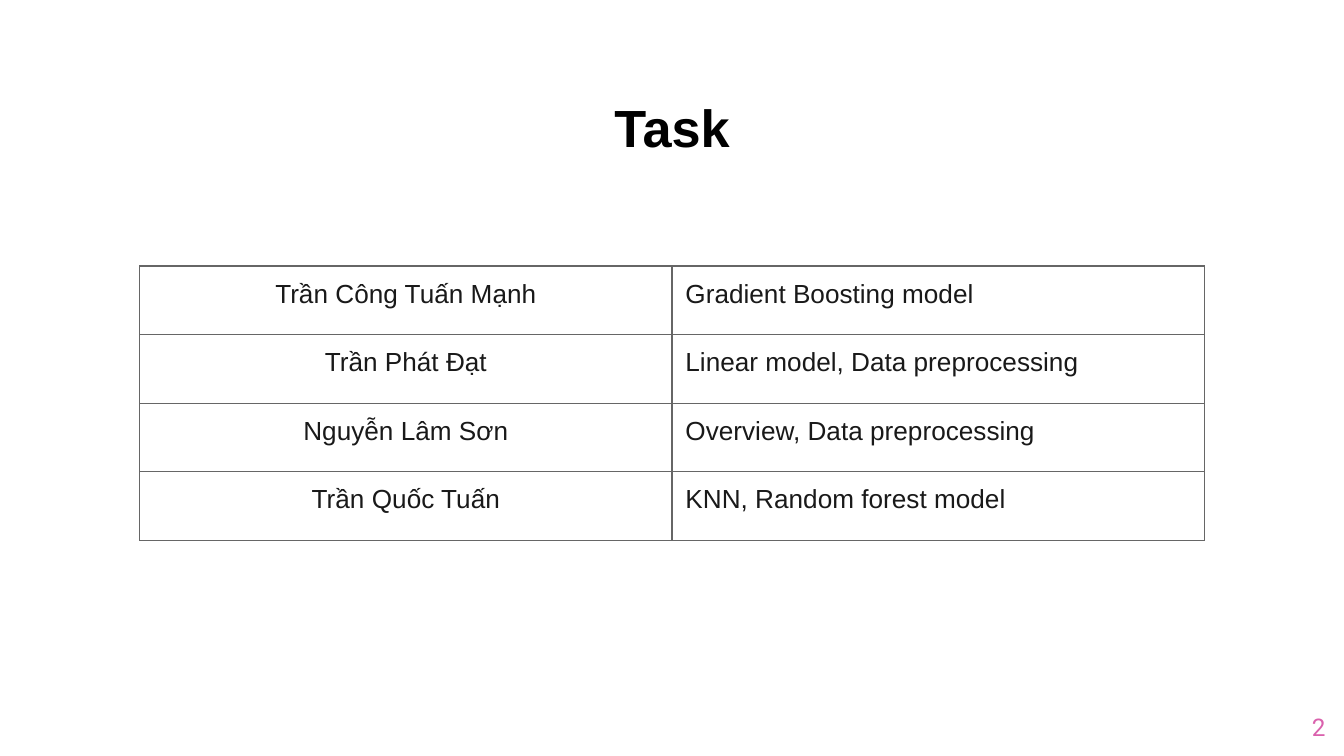
from lxml.etree import SubElement
from pptx import Presentation
from pptx.dml.color import RGBColor
from pptx.enum.text import MSO_ANCHOR, PP_ALIGN
from pptx.oxml.ns import qn
from pptx.util import Inches, Pt

W = 10
H = W * 9 / 16
COLORS = {"title": "000000", "body": "191919", "border": "666666", "number": "DA61AD"}
TASKS = [
    ("Trần Công Tuấn Mạnh", "Gradient Boosting model"),
    ("Trần Phát Đạt", "Linear model, Data preprocessing"),
    ("Nguyễn Lâm Sơn", "Overview, Data preprocessing"),
    ("Trần Quốc Tuấn", "KNN, Random forest model"),
]


def add_text(tf, text, size, color, align, font="Arial", bold=False):
    """Write one formatted run into the first paragraph and return the paragraph."""
    p = tf.paragraphs[0]
    p.alignment = align
    r = p.add_run()
    r.text = text
    r.font.name, r.font.size, r.font.bold = font, Pt(size), bold
    r.font.color.rgb = RGBColor.from_string(COLORS[color])
    return p


def set_frame(tf):
    """Give a text frame even insets, wrapping and a middle anchor."""
    tf.margin_left = tf.margin_right = tf.margin_top = tf.margin_bottom = Inches(0.1)
    tf.word_wrap = True
    tf.vertical_anchor = MSO_ANCHOR.MIDDLE


def set_borders(cell):
    """Draw a thin line on all four sides of a cell."""
    tcPr = cell._tc.get_or_add_tcPr()
    for side in ("L", "R", "T", "B"):
        ln = SubElement(tcPr, qn(f"a:ln{side}"), w=str(Pt(0.75)))
        fill = SubElement(ln, qn("a:solidFill"))
        SubElement(fill, qn("a:srgbClr"), val=COLORS["border"])


def add_title(s, x, y, w, h):
    """Place the slide title in the given box."""
    sp = s.shapes.title
    sp.left, sp.top, sp.width, sp.height = (Inches(v) for v in (x, y, w, h))
    set_frame(sp.text_frame)
    p = add_text(sp.text_frame, "Task", 28, "title", PP_ALIGN.CENTER, bold=True)
    p.line_spacing = 0.9


def add_tasks(s, x, y, w, h):
    """Place the table of members and their tasks in the given box."""
    box = [Inches(v) for v in (x, y, w, h)]
    table = s.shapes.add_table(len(TASKS), 2, *box).table
    table.first_row = table.horz_banding = False
    for i, row in enumerate(TASKS):
        for j, text in enumerate(row):
            cell = table.cell(i, j)
            cell.margin_left = cell.margin_right = Inches(0.1)
            cell.margin_top = cell.margin_bottom = Inches(0.1)
            set_borders(cell)
            cell.fill.background()
            align = PP_ALIGN.LEFT if j else PP_ALIGN.CENTER
            add_text(cell.text_frame, text, 14, "body", align)


def add_number(s, x, y, w, h):
    """Place the slide number in the given box."""
    tf = s.shapes.add_textbox(*(Inches(v) for v in (x, y, w, h))).text_frame
    set_frame(tf)
    add_text(tf, "2", 13, "number", PP_ALIGN.RIGHT, font="Roboto")


def main():
    """Build the task slide and save it."""
    prs = Presentation()
    prs.slide_width, prs.slide_height = Inches(W), Inches(H)
    s = prs.slides.add_slide(prs.slide_layouts[5])
    add_tasks(s, 0.104 * W, 1.98, 0.792 * W, len(TASKS) * 0.51)
    add_title(s, 0.034 * W, 0.66, 0.932 * W, 0.63)
    add_number(s, 0.936 * W, H - 0.43, 0.06 * W, 0.43)
    prs.save("out.pptx")


if __name__ == "__main__":
    main()
